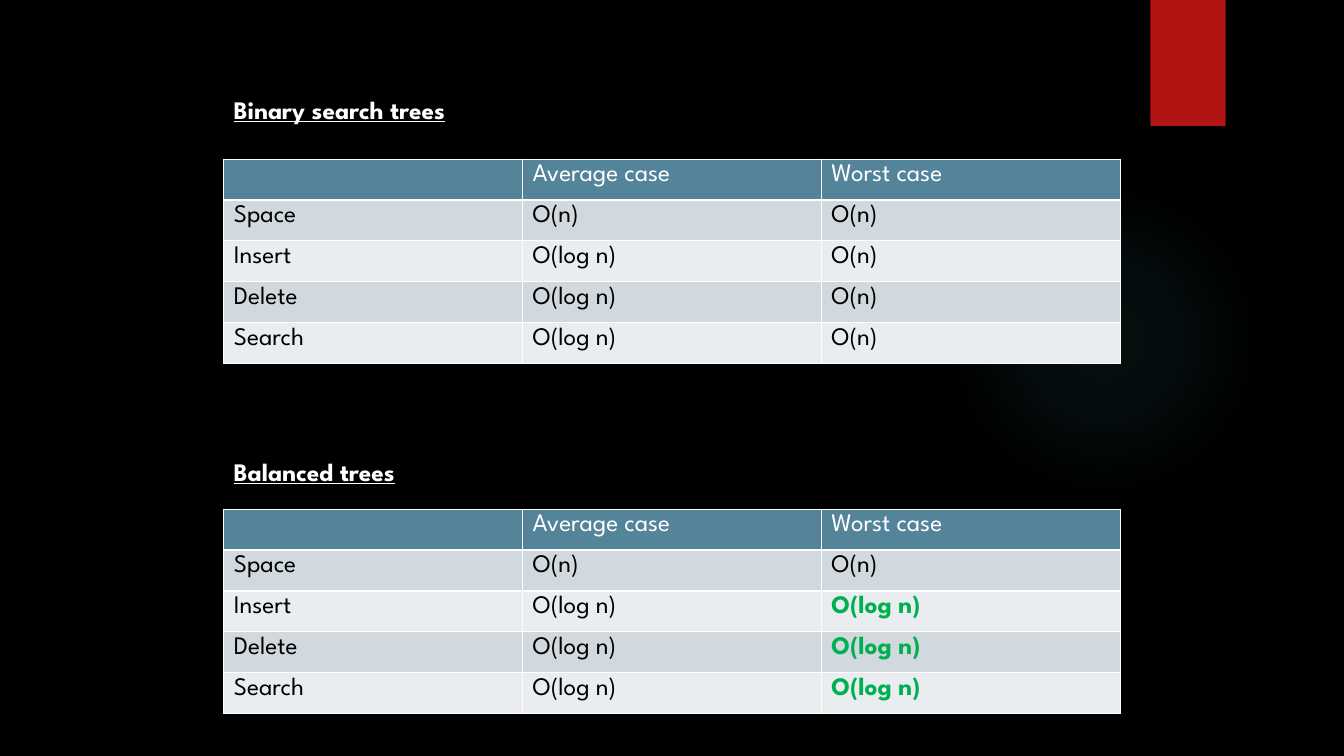
from dataclasses import dataclass

from lxml import etree
from pptx import Presentation
from pptx import util as u
from pptx.dml.color import RGBColor
from pptx.enum import shapes, text
from pptx.oxml import parse_xml
from pptx.oxml.ns import nsdecls, qn

FONT = "League Spartan"
BLACK, WHITE, RED, TEAL = "000000", "FFFFFF", "B01513", "50B9C1"
HEADER, BANDS, GREEN = "54849A", ("D1D9DE", "E9EDEF"), "00B050"
LEFT, COLUMN_WIDTH, ROW_HEIGHT = 5.64, 7.53, 1.03
COLUMNS = ("", "Average case", "Worst case")
OPERATIONS = ("Space", "Insert", "Delete", "Search")
AVERAGE = ("O(n)",) + ("O(log n)",) * 3


@dataclass
class TreeKind:
    heading: str
    heading_top: float
    heading_width: float
    table_top: float
    worst: tuple[str, ...]
    highlight: str  # worst case to emphasise


TREES = (
    TreeKind("Binary search trees", 2.26, 6.4, 4.01, ("O(n)",) * 4, ""),
    TreeKind("Balanced trees", 11.38, 5.23, 12.83, AVERAGE, "O(log n)"),
)


def colour(value: str) -> RGBColor:
    return RGBColor.from_string(value)


def paint(fill, value: str) -> None:
    fill.solid()
    fill.fore_color.rgb = colour(value)


def write(frame, words: str, ink: str, **formats) -> None:
    paragraph = frame.paragraphs[0]
    paragraph.alignment = text.PP_ALIGN.LEFT
    if not words:
        paragraph.font.size = u.Pt(18)
        return
    run = paragraph.add_run()
    run.text = words
    values = {"name": FONT, "size": u.Pt(18), "bold": False} | formats
    for key, value in values.items():
        setattr(run.font, key, value)
    run.font.color.rgb = colour(ink)


def add_borders(cell) -> None:
    properties = cell._tc.get_or_add_tcPr()
    for side in ("lnL", "lnR", "lnT", "lnB"):
        line = etree.SubElement(properties, qn(f"a:{side}"), w=str(u.Pt(1)))
        solid = etree.SubElement(line, qn("a:solidFill"))
        etree.SubElement(solid, qn("a:srgbClr"), val=WHITE)


def add_decor(slide, kind, left: float, top: float, width: float, height: float):
    decor = slide.shapes.add_shape(kind, *map(u.Cm, (left, top, width, height)))
    decor.shadow.inherit = False
    decor.line.fill.background()
    return decor


def add_glow(slide) -> None:
    glow = add_decor(slide, shapes.MSO_SHAPE.OVAL, 23.9, 4.65, 7.82, 7.82)
    stops = "".join(
        f'<a:gs pos="{position * 1000}"><a:srgbClr val="{TEAL}">'
        f'<a:alpha val="{opacity * 1000}"/></a:srgbClr></a:gs>'
        for position, opacity in ((0, 7), (36, 6), (69, 0))
    )
    gradient = parse_xml(
        f'<a:gradFill {nsdecls("a")} rotWithShape="1"><a:gsLst>{stops}</a:gsLst>'
        '<a:path path="circle"><a:fillToRect l="50000" t="50000" r="50000" b="50000"/>'
        "</a:path></a:gradFill>"
    )
    glow._element.spPr.find(qn("a:prstGeom")).addnext(gradient)


def add_heading(slide, tree: TreeKind) -> None:
    box = slide.shapes.add_textbox(
        *map(u.Cm, (LEFT, tree.heading_top, tree.heading_width, 1.03)))
    box.text_frame.word_wrap = False
    box.text_frame.auto_size = text.MSO_AUTO_SIZE.SHAPE_TO_FIT_TEXT
    write(box.text_frame, tree.heading, WHITE, bold=True, underline=True)


def add_complexities(slide, tree: TreeKind) -> None:
    rows = [COLUMNS, *zip(OPERATIONS, AVERAGE, tree.worst)]
    size = (COLUMN_WIDTH * len(COLUMNS), ROW_HEIGHT * len(rows))
    table = slide.shapes.add_table(
        len(rows), len(COLUMNS), *map(u.Cm, (LEFT, tree.table_top, *size))).table
    for column in table.columns:
        column.width = u.Cm(COLUMN_WIDTH)
    for r, row in enumerate(rows):
        table.rows[r].height = u.Cm(ROW_HEIGHT)
        for c, words in enumerate(row):
            cell = table.cell(r, c)
            add_borders(cell)
            paint(cell.fill, BANDS[(r - 1) % 2] if r else HEADER)
            strong = c == 2 and words == tree.highlight
            ink = GREEN if strong else BLACK if r else WHITE
            write(cell.text_frame, words, ink, bold=strong)


# Slide and background
deck = Presentation()
deck.slide_width, deck.slide_height = u.Cm(33.87), u.Cm(19.05)
slide = deck.slides.add_slide(deck.slide_layouts[6])
paint(slide.background.fill, BLACK)

# Decoration
add_glow(slide)
ribbon = add_decor(slide, shapes.MSO_SHAPE.RECTANGLE, 28.99, 0, 1.9, 3.18)
paint(ribbon.fill, RED)

# Headings and tables
for tree in TREES:
    add_heading(slide, tree)
    add_complexities(slide, tree)

deck.save("out.pptx")
